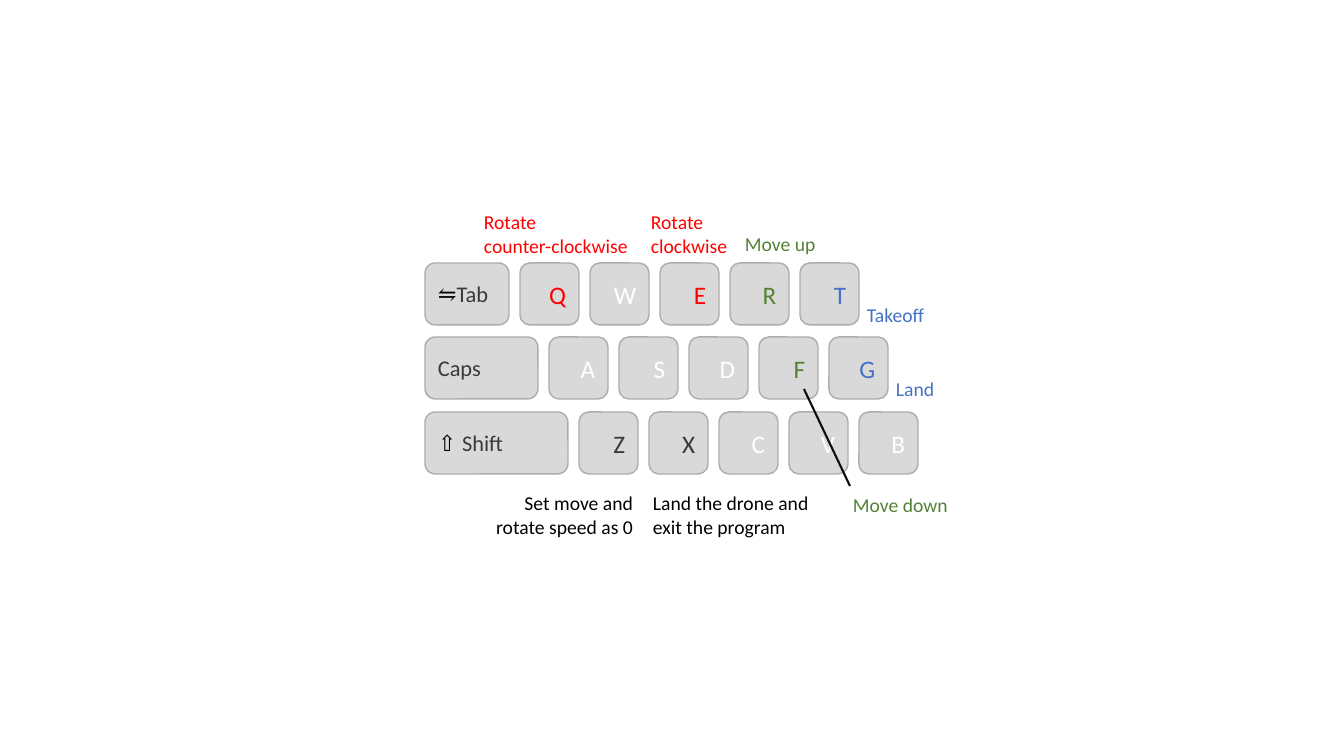
from lxml import etree
from pptx import Presentation
from pptx.dml.color import RGBColor
from pptx.enum.shapes import MSO_CONNECTOR, MSO_SHAPE
from pptx.enum.text import MSO_ANCHOR, MSO_AUTO_SIZE, PP_ALIGN
from pptx.oxml.ns import qn
from pptx.util import Pt

ROUND_RECT = MSO_SHAPE.ROUNDED_RECTANGLE
STRAIGHT = MSO_CONNECTOR.STRAIGHT
MIDDLE = MSO_ANCHOR.MIDDLE
FIT_SHAPE = MSO_AUTO_SIZE.SHAPE_TO_FIT_TEXT
LEFT, RIGHT = PP_ALIGN.LEFT, PP_ALIGN.RIGHT

EMU_PER_PX = 914400 / 100.8
KEY_W, KEY_H, KEY_PITCH, KEY_GAP = 59, 62, 70, 11
KEYBOARD_X = 425
FONT, SYMBOL_FONT = "Calibri", "Times New Roman"

COLORS = {
    "key": "D9D9D9",
    "edge": "AFABAB",
    "unused": "FFFFFF",
    "dark": "3B3838",
    "rotate": "FF0000",
    "height": "548235",
    "flight": "4472C4",
    "black": "000000",
    "pointer": "0D0D0D",
}
KEY_COLORS = {
    "Q": "rotate", "E": "rotate",
    "R": "height", "F": "height",
    "T": "flight", "G": "flight",
    "Z": "dark", "X": "dark",
}
ROWS = [
    (263, 84, "⇋", "Tab", "QWERT"),
    (337, 113, "", "Caps", "ASDFG"),
    (412, 143, "⇧ ", "Shift", "ZXCVB"),
]
LABELS = [
    ("Rotate\ncounter-clockwise", (474, 205, 164, 57), "rotate", LEFT),
    ("Rotate\nclockwise", (641, 205, 107, 57), "rotate", LEFT),
    ("Takeoff", (857, 298, 84, 34), "flight", LEFT),
    ("Land", (886, 372, 66, 34), "flight", LEFT),
    ("Move up", (735, 227, 109, 34), "height", LEFT),
    ("Move down", (843, 488, 164, 34), "height", LEFT),
    ("Set move and rotate speed as 0", (470, 486, 173, 57), "black", RIGHT),
    ("Land the drone and exit the program", (643, 486, 186, 57), "black", LEFT),
]


def px(*values):
    return [round(v * EMU_PER_PX) for v in values]


def rgb(name):
    return RGBColor.from_string(COLORS[name])


def add_run(p, text, size=14, color="black", font=FONT):
    r = p.add_run()
    r.text = text
    r.font.size = Pt(size)
    r.font.name = font
    r.font.color.rgb = rgb(color)


def add_key(s, x, y, w, align):
    key = s.shapes.add_shape(ROUND_RECT, *px(x, y, w, KEY_H))
    key.shadow.inherit = False
    key.fill.solid()
    key.fill.fore_color.rgb = rgb("key")
    key.line.color.rgb = rgb("edge")
    key.line.width = Pt(1)
    key.text_frame.vertical_anchor = MIDDLE
    p = key.text_frame.paragraphs[0]
    p.alignment = align
    return p


def add_row(s, y, wide_w, symbol, name, letters):
    p = add_key(s, KEYBOARD_X, y, wide_w, LEFT)
    if symbol:
        add_run(p, symbol, size=16, font=SYMBOL_FONT)
    add_run(p, name, size=16, color="dark")
    first_x = KEYBOARD_X + wide_w + KEY_GAP
    for i, letter in enumerate(letters):
        p = add_key(s, first_x + i * KEY_PITCH, y, KEY_W, RIGHT)
        add_run(p, letter, size=18, color=KEY_COLORS.get(letter, "unused"))


def add_label(s, text, box, color, align):
    tf = s.shapes.add_textbox(*px(*box)).text_frame
    tf.word_wrap = True
    tf.auto_size = FIT_SHAPE
    for i, line in enumerate(text.split("\n")):
        p = tf.add_paragraph() if i else tf.paragraphs[0]
        p.alignment = align
        add_run(p, line, color=color)


def add_pointer(s, x1, y1, x2, y2):
    line = s.shapes.add_connector(STRAIGHT, *px(x1, y1, x2, y2))
    line.line.color.rgb = rgb("pointer")
    line.line.width = Pt(1.5)
    etree.SubElement(line._element.spPr, qn("a:effectLst"))


def main():
    prs = Presentation()
    prs.slide_width, prs.slide_height = px(1344, 756)
    s = prs.slides.add_slide(prs.slide_layouts[6])
    for row in ROWS:
        add_row(s, *row)
    for label in LABELS:
        add_label(s, *label)
    add_pointer(s, 804, 389, 850, 486)
    prs.save("out.pptx")


main()
